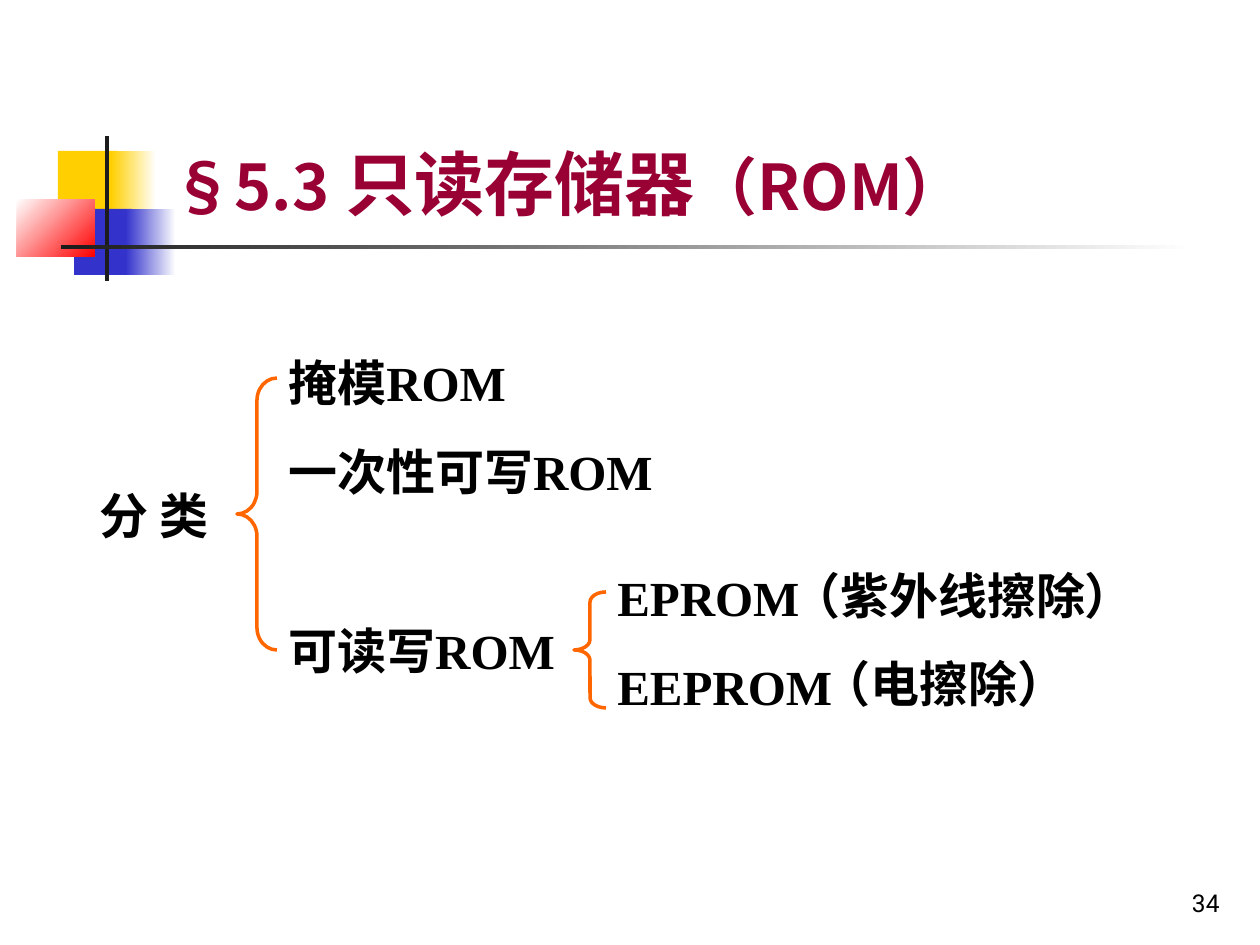
"""Build the slide that sorts read-only memory into its kinds."""
from lxml.etree import SubElement
from pptx import Presentation
from pptx.dml.color import RGBColor as RGB
from pptx.enum.shapes import MSO_SHAPE as Kind
from pptx.enum.text import MSO_ANCHOR as Anchor, MSO_AUTO_SIZE as Auto, PP_ALIGN as Align
from pptx.oxml.ns import qn
from pptx.util import Emu, Pt

PX = 914400 / 126
GOLD = RGB(0xFF, 0xCF, 0x01)
BLUE = RGB(0x33, 0x33, 0xCC)
RED = RGB(0xFF, 0x00, 0x00)
DARK = RGB(0x1C, 0x1C, 0x1C)
WHITE = RGB(0xFF, 0xFF, 0xFF)
BLACK = RGB(0x00, 0x00, 0x00)
WINE = RGB(0x99, 0x00, 0x33)
ORANGE = RGB(0xFF, 0x66, 0x00)
HAN, SANS, SERIF = "Noto Sans CJK SC", "Roboto", "Times New Roman"

TITLE_BOX = (159, 29, 1074, 202)
TITLE = [("§5.3", 36, True), (" ", 40, False), ("只读存储器", 40, True), ("（ROM）", 36, True)]

DECOR = [
    ((58, 151, 60, 66), (GOLD,), 0),
    ((111, 151, 45, 66), (GOLD, WHITE), 0),
    ((74, 209, 58, 66), (BLUE,), 0),
    ((126, 209, 50, 66), (BLUE, WHITE), 0),
    ((17, 199, 78, 58), (WHITE, RED), 315),
    ((105, 136, 4, 145), (DARK,), 0),
    ((61, 245, 1134, 4), (DARK, WHITE), 0),
]

GAP, SKIP = 17.5, 68.5
TEXTS = [
    ((276, 346, 472, 340), SERIF, [("掩模ROM", 0), ("一次性可写ROM", GAP), ("可读写ROM", SKIP)]),
    ((87, 479, 165, 72), SERIF, [("分 类", 0)]),
    ((605, 561, 630, 161), SERIF, [("EPROM", 0), ("EEPROM", GAP)]),
    ((779, 559, 387, 72), SANS, [("（紫外线擦除）", 0)]),
    ((809, 647, 278, 72), SANS, [("（电擦除）", 0)]),
]
BRACES = [((237, 378, 40, 272), 0.56), ((574, 592, 32, 116), 0.32)]
NUMBER_BOX = (970, 861, 262, 63)


def emu(box):
    return [Emu(round(n * PX)) for n in box]


def put(item, **vals):
    for key, val in vals.items():
        setattr(item, key, val)


def write(para, text, face, size, color, bold):
    run = para.add_run()
    run.text = text
    run.font.color.rgb = color
    put(run.font, name=face, size=Pt(size), bold=bold)
    SubElement(run._r.get_or_add_rPr(), qn("a:ea"), typeface=HAN)


def add_decor(slide, box, tones, angle):
    shape = slide.shapes.add_shape(Kind.RECTANGLE, *emu(box))
    shape.shadow.inherit = False
    shape.line.fill.background()
    if len(tones) == 1:
        shape.fill.solid()
        shape.fill.fore_color.rgb = tones[0]
        return
    shape.fill.gradient()
    shape.fill.gradient_angle = angle
    for stop, tone in zip(shape.fill.gradient_stops, tones):
        stop.color.rgb = tone


def add_brace(slide, box, curve):
    brace = slide.shapes.add_shape(Kind.LEFT_BRACE, *emu(box))
    brace.shadow.inherit = False
    brace.fill.background()
    brace.line.color.rgb = ORANGE
    brace.line.width = Pt(2)
    brace.adjustments[0] = curve


def add_text(slide, box, face, lines, size=28, bold=True, anchor=Anchor.TOP, align=Align.LEFT):
    frame = slide.shapes.add_textbox(*emu(box)).text_frame
    put(frame, word_wrap=True, vertical_anchor=anchor)
    for i, (text, gap) in enumerate(lines):
        para = frame.add_paragraph() if i else frame.paragraphs[0]
        put(para, alignment=align, space_before=Pt(gap))
        write(para, text, face, size, BLACK, bold)


def add_title(slide):
    title = slide.shapes.title
    put(title, **dict(zip(("left", "top", "width", "height"), emu(TITLE_BOX))))
    frame = title.text_frame
    put(frame, word_wrap=True, auto_size=Auto.NONE, vertical_anchor=Anchor.BOTTOM)
    para = frame.paragraphs[0]
    para.alignment = Align.LEFT
    for text, size, bold in TITLE:
        write(para, text, HAN, size, WINE, bold)


def main():
    deck = Presentation()
    deck.slide_width, deck.slide_height = emu((1260, 945))
    slide = deck.slides.add_slide(deck.slide_layouts[5])
    add_title(slide)
    for item in DECOR:
        add_decor(slide, *item)
    for item in TEXTS:
        add_text(slide, *item)
    for item in BRACES:
        add_brace(slide, *item)
    add_text(slide, NUMBER_BOX, SANS, [("34", 0)], 14, False, Anchor.BOTTOM, Align.RIGHT)
    deck.save("out.pptx")


if __name__ == "__main__":
    main()
